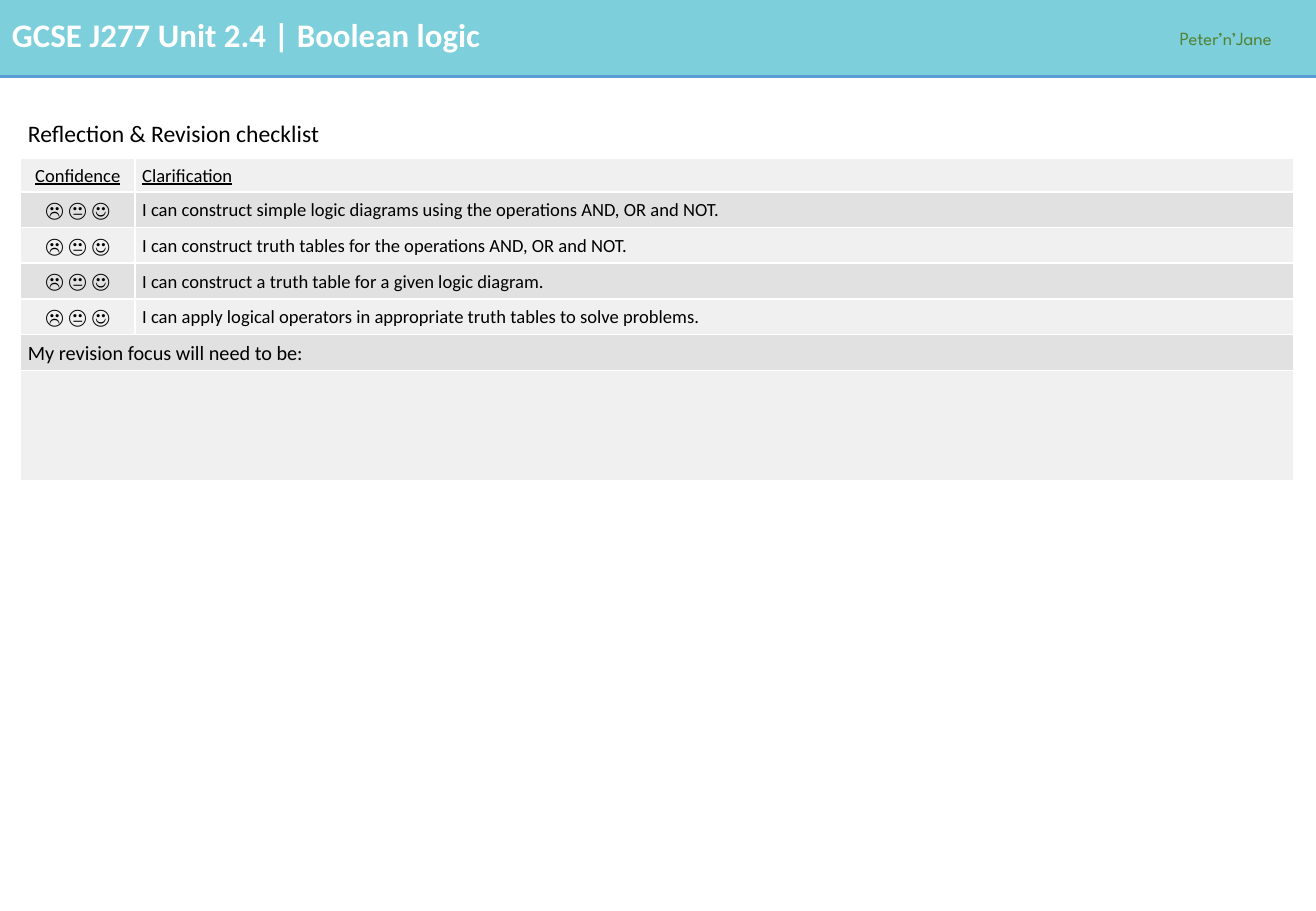
from lxml.etree import SubElement
from pptx import Presentation
from pptx.dml.color import RGBColor
from pptx.enum.shapes import MSO_CONNECTOR, MSO_SHAPE
from pptx.enum.text import MSO_ANCHOR, PP_ALIGN
from pptx.oxml.ns import qn
from pptx.util import Inches, Pt

WHITE = RGBColor(0xFF, 0xFF, 0xFF)
BLACK = RGBColor(0x00, 0x00, 0x00)
TEAL = RGBColor(0x7C, 0xCF, 0xDB)
BLUE = RGBColor(0x5B, 0x9B, 0xD5)
GREEN = RGBColor(0x54, 0x82, 0x35)
LIGHT = RGBColor(0xF0, 0xF0, 0xF0)
DARK = RGBColor(0xE1, 0xE1, 0xE1)

TITLE = "GCSE J277 Unit 2.4 | Boolean logic"
AUTHOR = "Peter’n’Jane"
HEADING = "Reflection & Revision checklist"
COLUMNS = ("Confidence", "Clarification")
FACES = "☹ 😐 ☺"
SKILLS = [
    "I can construct simple logic diagrams using the operations AND, OR and NOT.",
    "I can construct truth tables for the operations AND, OR and NOT.",
    "I can construct a truth table for a given logic diagram.",
    "I can apply logical operators in appropriate truth tables to solve problems.",
]
FOCUS = "My revision focus will need to be:"

ROWS = [(HEADING,), COLUMNS, *[(FACES, skill) for skill in SKILLS], (FOCUS,), ("",)]
HEIGHTS = [0.49, 0.28] + [0.29] * (len(SKILLS) + 1) + [0.91]
WIDTHS = [0.94, 9.54]
SIZES = {HEADING: 14, FACES: 12, FOCUS: 12}
BAND_H = 0.63

prs = Presentation()
prs.slide_width, prs.slide_height = Inches(10.83), Inches(7.5)
s = prs.slides.add_slide(prs.slide_layouts[6])


def add_run(p, text, size, color=BLACK, font="Calibri", bold=False, underline=False):
    r = p.add_run()
    r.text = text
    r.font.size, r.font.name, r.font.bold = Pt(size), font, bold
    r.font.underline = underline
    r.font.color.rgb = color


def add_label(box, text, size, color, wrap=True, **style):
    tf = s.shapes.add_textbox(*map(Inches, box)).text_frame
    tf.word_wrap = wrap
    add_run(tf.paragraphs[0], text, size, color, **style)


def add_borders(cell):
    tcPr = cell._tc.get_or_add_tcPr()
    for side in ("lnL", "lnR", "lnT", "lnB"):
        ln = SubElement(tcPr, qn(f"a:{side}"), w=str(Pt(1)))
        SubElement(SubElement(ln, qn("a:solidFill")), qn("a:srgbClr"), val=str(WHITE))


band = s.shapes.add_shape(MSO_SHAPE.RECTANGLE, 0, 0, prs.slide_width, Inches(BAND_H))
band.shadow.inherit = False
band.fill.solid()
band.fill.fore_color.rgb = TEAL
band.line.fill.background()

rule = s.shapes.add_connector(
    MSO_CONNECTOR.STRAIGHT, 0, Inches(BAND_H), prs.slide_width, Inches(BAND_H))
rule.line.color.rgb = BLUE
rule.line.width = Pt(2.25)
SubElement(rule._element.spPr, qn("a:effectLst"))

add_label((0, 0.07, 9.48, 0.43), TITLE, 19.5, WHITE, bold=True)
add_label((9.61, 0.17, 1.22, 0.29), AUTHOR, 11, GREEN, wrap=False, font="League Spartan")

table = s.shapes.add_table(
    len(ROWS), len(WIDTHS), Inches(0.17), Inches(0.81),
    Inches(sum(WIDTHS)), Inches(sum(HEIGHTS))).table
for col, width in zip(table.columns, WIDTHS):
    col.width = Inches(width)

for i, (texts, height) in enumerate(zip(ROWS, HEIGHTS)):
    table.rows[i].height = Inches(height)
    if len(texts) == 1:
        table.cell(i, 0).merge(table.cell(i, 1))
    for j in range(len(WIDTHS)):
        cell = table.cell(i, j)
        add_borders(cell)
        cell.fill.solid()
        cell.fill.fore_color.rgb = WHITE if i == 0 else LIGHT if i % 2 else DARK
        cell.margin_left = cell.margin_right = Inches(0.06)
        cell.margin_top = Inches(0.16 if i == 0 else 0.04)
        cell.margin_bottom = Inches(0.08 if i == 0 else 0.04)
        cell.vertical_anchor = MSO_ANCHOR.TOP if i == 0 else MSO_ANCHOR.MIDDLE
        if j < len(texts) and texts[j]:
            p = cell.text_frame.paragraphs[0]
            p.line_spacing = 1.07
            p.alignment = PP_ALIGN.CENTER if j < len(texts) - 1 else PP_ALIGN.LEFT
            add_run(p, texts[j], SIZES.get(texts[j], 11), underline=texts is COLUMNS)

prs.save("out.pptx")
